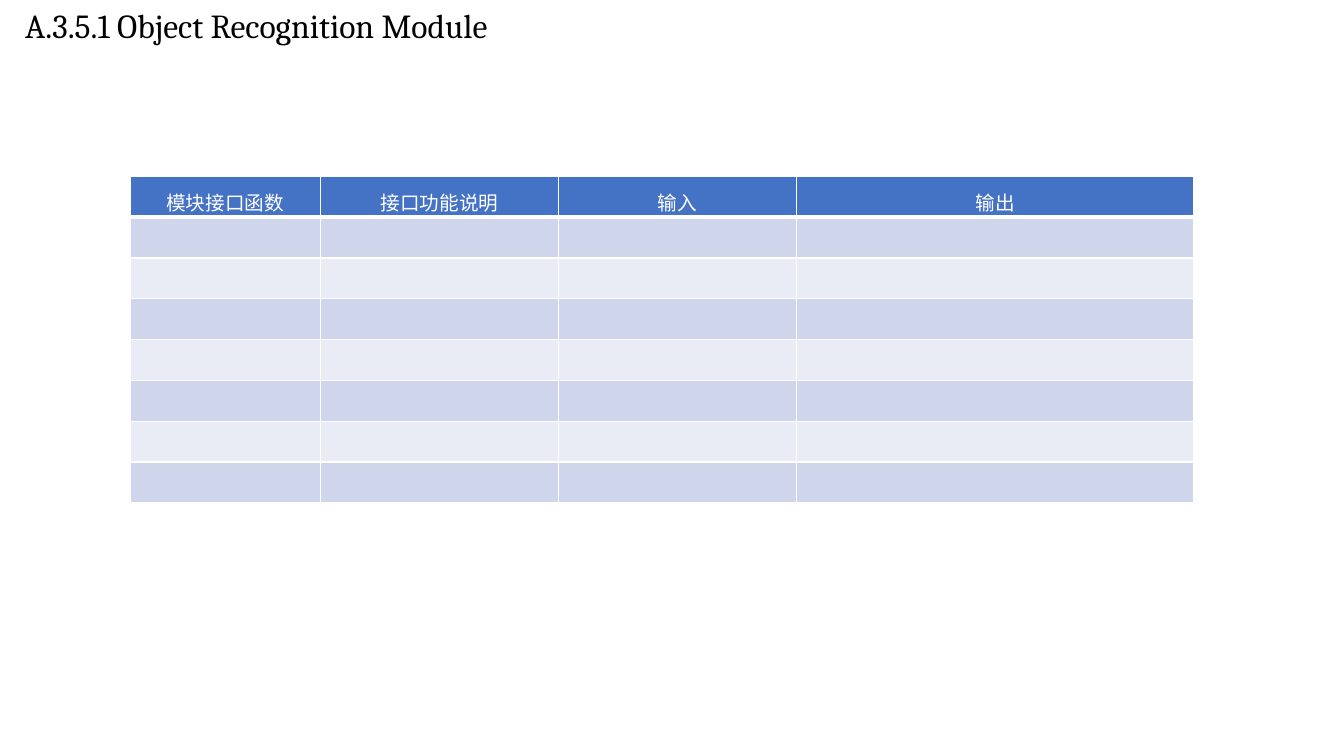
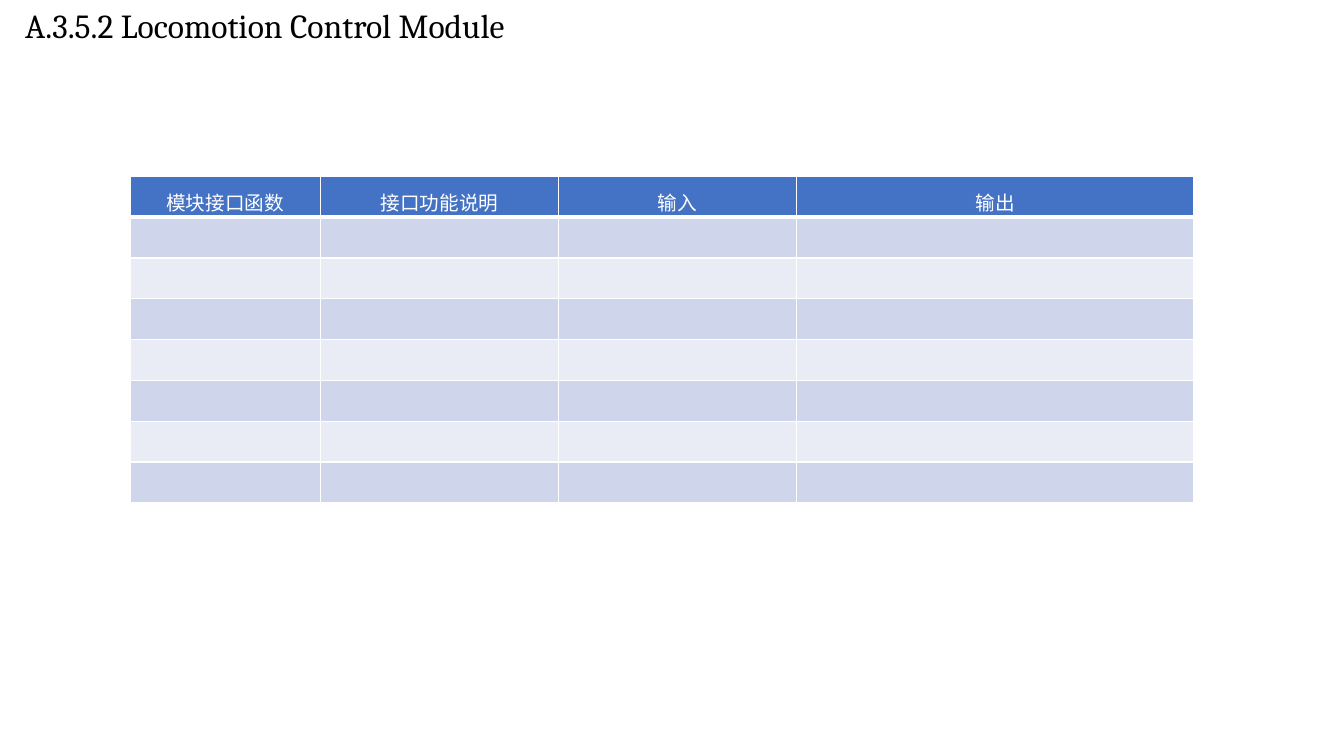
from lxml import etree
from pptx import Presentation
from pptx import util as u
from pptx.dml import color
from pptx.enum import text
from pptx.oxml import ns

FONT = "Cambria"
BLACK, WHITE, HEADER_FILL = "000000", "FFFFFF", "4472C4"
BAND_FILLS = ("CFD5EA", "E9EBF5")
TITLES = ("A.3.5.1 Object Recognition Module", "A.3.5.2 Locomotion Control Module")
HEADINGS = ("模块接口函数", "接口功能说明", "输入", "输出")
COLUMN_WIDTHS = (1.89, 2.36, 2.36, 3.94)
ROW_COUNT = 8
TABLE_HEIGHT = 3.24


def rgb(value):
    """Turn a hex string into a colour."""
    return color.RGBColor.from_string(value)


def style_paragraph(para, size, hex_color, alignment):
    """Set the font and alignment of a paragraph."""
    para.font.name = FONT
    para.font.size = u.Pt(size)
    para.font.color.rgb = rgb(hex_color)
    para.alignment = alignment


def add_title(page, title):
    """Place the section title at the top left."""
    box = page.shapes.title
    box.left, box.top = u.Inches(0), u.Inches(0)
    box.width, box.height = u.Inches(8.29), u.Inches(0.5)
    frame = box.text_frame
    frame.text = title
    frame.margin_left = u.Inches(0.25)
    frame.word_wrap = True
    frame.vertical_anchor = text.MSO_ANCHOR.TOP
    frame.auto_size = text.MSO_AUTO_SIZE.SHAPE_TO_FIT_TEXT
    para = frame.paragraphs[0]
    para.line_spacing = 1.0
    para.space_before = u.Pt(0)
    style_paragraph(para, 24, BLACK, text.PP_ALIGN.LEFT)


def style_cell(cell, fill, bottom_width=1):
    """Give a cell white borders and a solid fill."""
    properties = cell._tc.get_or_add_tcPr()
    for side, width in (("L", 1), ("R", 1), ("T", 1), ("B", bottom_width)):
        line = etree.SubElement(properties, ns.qn(f"a:ln{side}"), w=str(u.Pt(width)))
        solid = etree.SubElement(line, ns.qn("a:solidFill"))
        etree.SubElement(solid, ns.qn("a:srgbClr"), val=WHITE)
    cell.fill.solid()
    cell.fill.fore_color.rgb = rgb(fill)


def add_heading(cell, heading):
    """Fill a header cell."""
    cell.text = heading
    cell.vertical_anchor = text.MSO_ANCHOR.MIDDLE
    para = cell.text_frame.paragraphs[0]
    para.line_spacing = 1.2
    style_paragraph(para, 14, WHITE, text.PP_ALIGN.CENTER)
    para.font.bold = False
    style_cell(cell, HEADER_FILL, bottom_width=3)


def add_interface_table(page):
    """Add the interface table with a header and banded empty rows."""
    table = page.shapes.add_table(
        ROW_COUNT, len(HEADINGS), u.Inches(1.29), u.Inches(1.75),
        u.Inches(sum(COLUMN_WIDTHS)), u.Inches(TABLE_HEIGHT)).table
    for column, width in zip(table.columns, COLUMN_WIDTHS):
        column.width = u.Inches(width)
    for index, heading in enumerate(HEADINGS):
        add_heading(table.cell(0, index), heading)
        for row in range(1, ROW_COUNT):
            style_cell(table.cell(row, index), BAND_FILLS[(row - 1) % 2])


def main():
    """Build and save the deck."""
    deck = Presentation()
    deck.slide_width, deck.slide_height = u.Inches(13.33), u.Inches(7.5)
    title_only = deck.slide_layouts.get_by_name("Title Only")
    for title in TITLES:
        page = deck.slides.add_slide(title_only)
        add_title(page, title)
        add_interface_table(page)
    deck.save("out.pptx")


if __name__ == "__main__":
    main()
